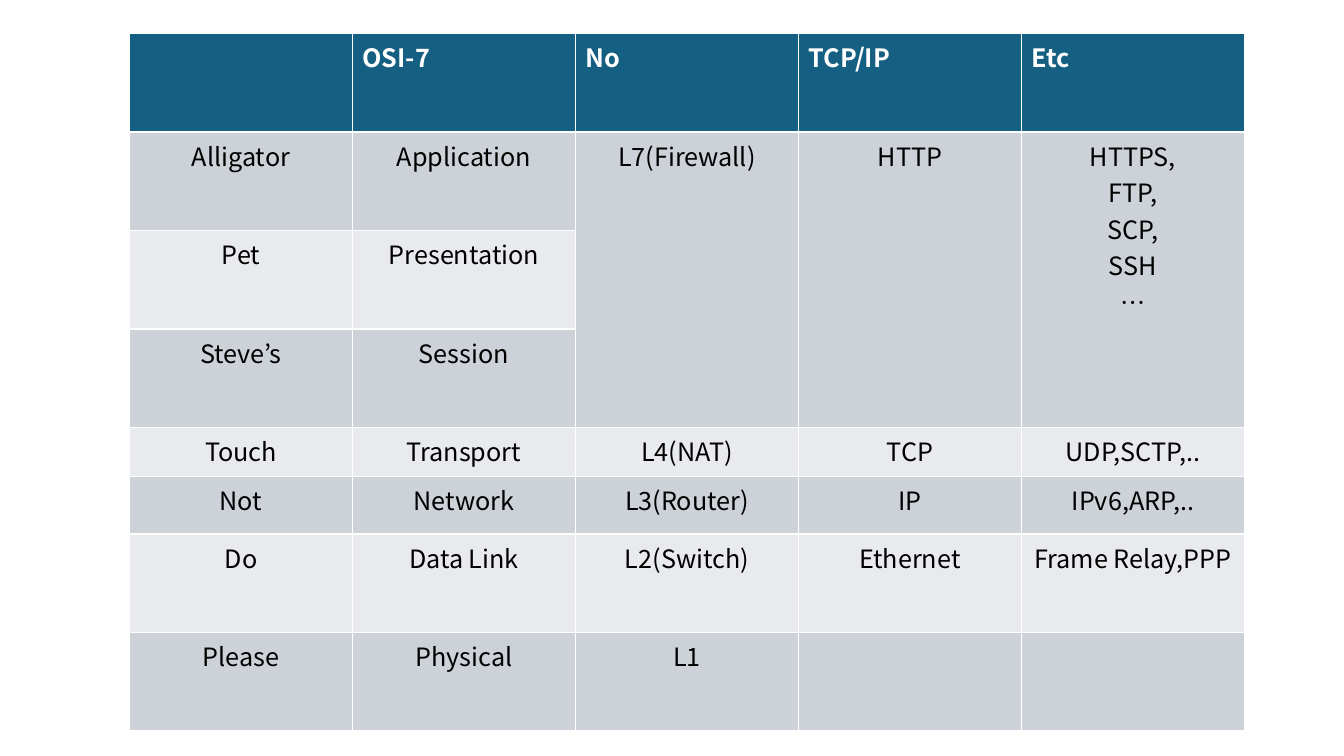
"""Build a slide with a table of the OSI layers and their mnemonic."""
from lxml.etree import SubElement
from pptx import Presentation
from pptx.dml.color import RGBColor
from pptx.enum.text import PP_ALIGN
from pptx.oxml.ns import qn
from pptx.util import Pt

ROWS = [
    ("", "OSI-7", "No", "TCP/IP", "Etc"),
    ("Alligator", "Application", "L7(Firewall)", "HTTP", "HTTPS,\nFTP,\nSCP,\nSSH\n…"),
    ("Pet", "Presentation", "", "", ""),
    ("Steve’s", "Session", "", "", ""),
    ("Touch", "Transport", "L4(NAT)", "TCP", "UDP,SCTP,.."),
    ("Not", "Network", "L3(Router)", "IP", "IPv6,ARP,.."),
    ("Do", "Data Link", "L2(Switch)", "Ethernet", "Frame Relay,PPP"),
    ("Please", "Physical", "L1", "", ""),
]
COLORS = {
    "header": "156082",
    "odd": "CCD2D8",
    "even": "E8EAED",
    "header_text": "FFFFFF",
    "body_text": "000000",
}
FONT = "Noto Sans CJK KR"
FONT_SIZE = 18
LEFT, TOP = 92.5, 24
COLUMN_WIDTH = 159.3
ROW_HEIGHT = 70.35
SHORT_ROWS = {4: 35.2, 5: 41}
MERGED_COLUMNS = (2, 3, 4)
MERGED_ROWS = (1, 3)


def format_cell(cell, text, row_index):
    """Fill one cell and format its text."""
    is_header = row_index == 0
    band = "header" if is_header else ("even", "odd")[row_index % 2]
    cell.fill.solid()
    cell.fill.fore_color.rgb = RGBColor.from_string(COLORS[band])
    cell.text_frame.text = text
    text_color = COLORS["header_text" if is_header else "body_text"]
    for paragraph in cell.text_frame.paragraphs:
        paragraph.alignment = PP_ALIGN.LEFT if is_header else PP_ALIGN.CENTER
        for run in paragraph.runs:
            run.font.size = Pt(FONT_SIZE)
            run.font.bold = is_header
            run.font.color.rgb = RGBColor.from_string(text_color)
            run.font.name = FONT
            SubElement(run.font._element, qn("a:ea"), typeface=FONT)


def main():
    """Create the presentation and save it."""
    presentation = Presentation()
    presentation.slide_width, presentation.slide_height = Pt(960), Pt(540)
    slide = presentation.slides.add_slide(presentation.slide_layouts[6])

    heights = [SHORT_ROWS.get(index, ROW_HEIGHT) for index in range(len(ROWS))]
    column_count = len(ROWS[0])
    table = slide.shapes.add_table(
        len(ROWS), column_count, Pt(LEFT), Pt(TOP),
        Pt(COLUMN_WIDTH * column_count), Pt(sum(heights)),
    ).table
    for column in table.columns:
        column.width = Pt(COLUMN_WIDTH)
    for row_index, (height, texts) in enumerate(zip(heights, ROWS)):
        table.rows[row_index].height = Pt(height)
        for column_index, text in enumerate(texts):
            format_cell(table.cell(row_index, column_index), text, row_index)

    first_row, last_row = MERGED_ROWS
    for column_index in MERGED_COLUMNS:
        table.cell(first_row, column_index).merge(table.cell(last_row, column_index))

    presentation.save("out.pptx")


if __name__ == "__main__":
    main()
